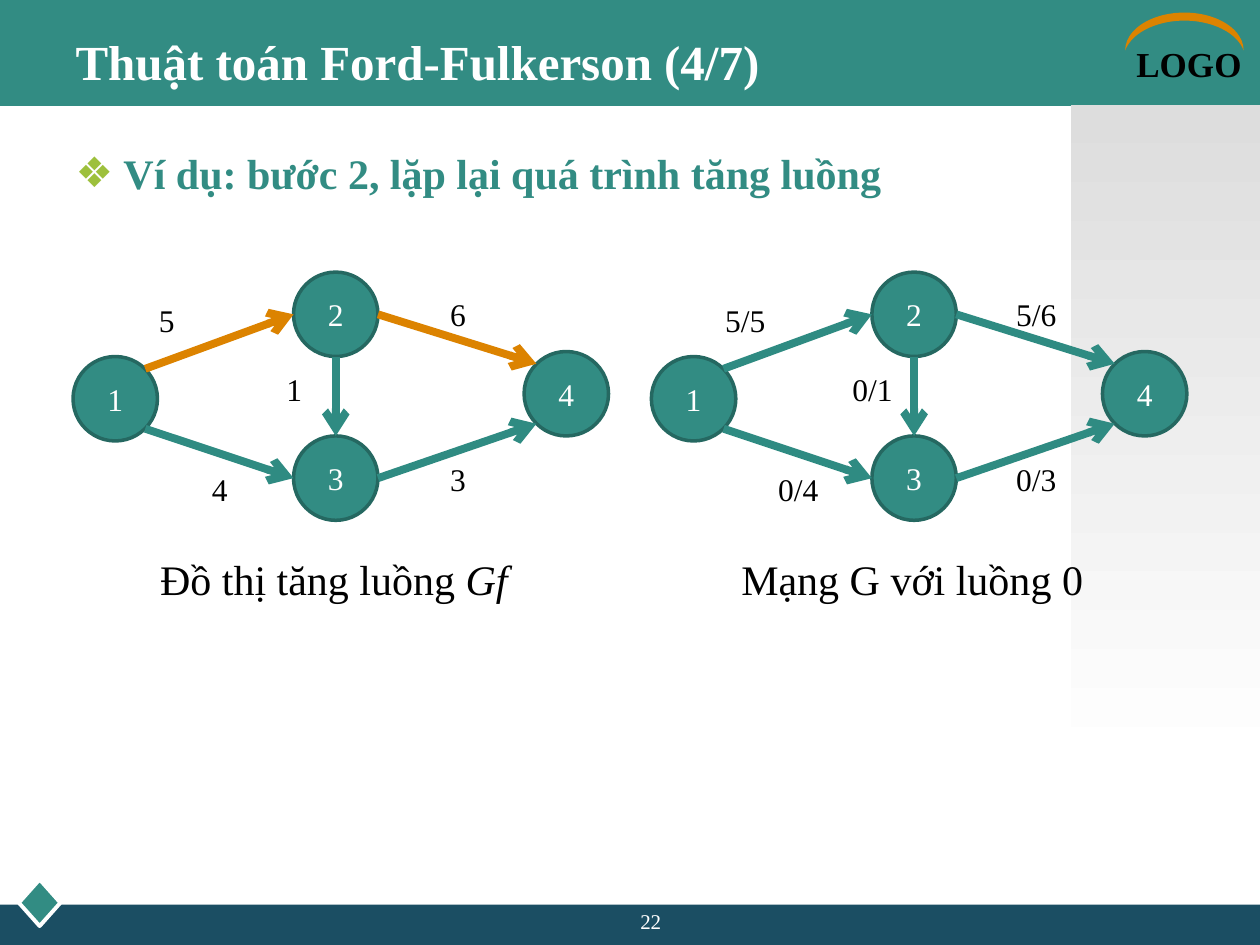
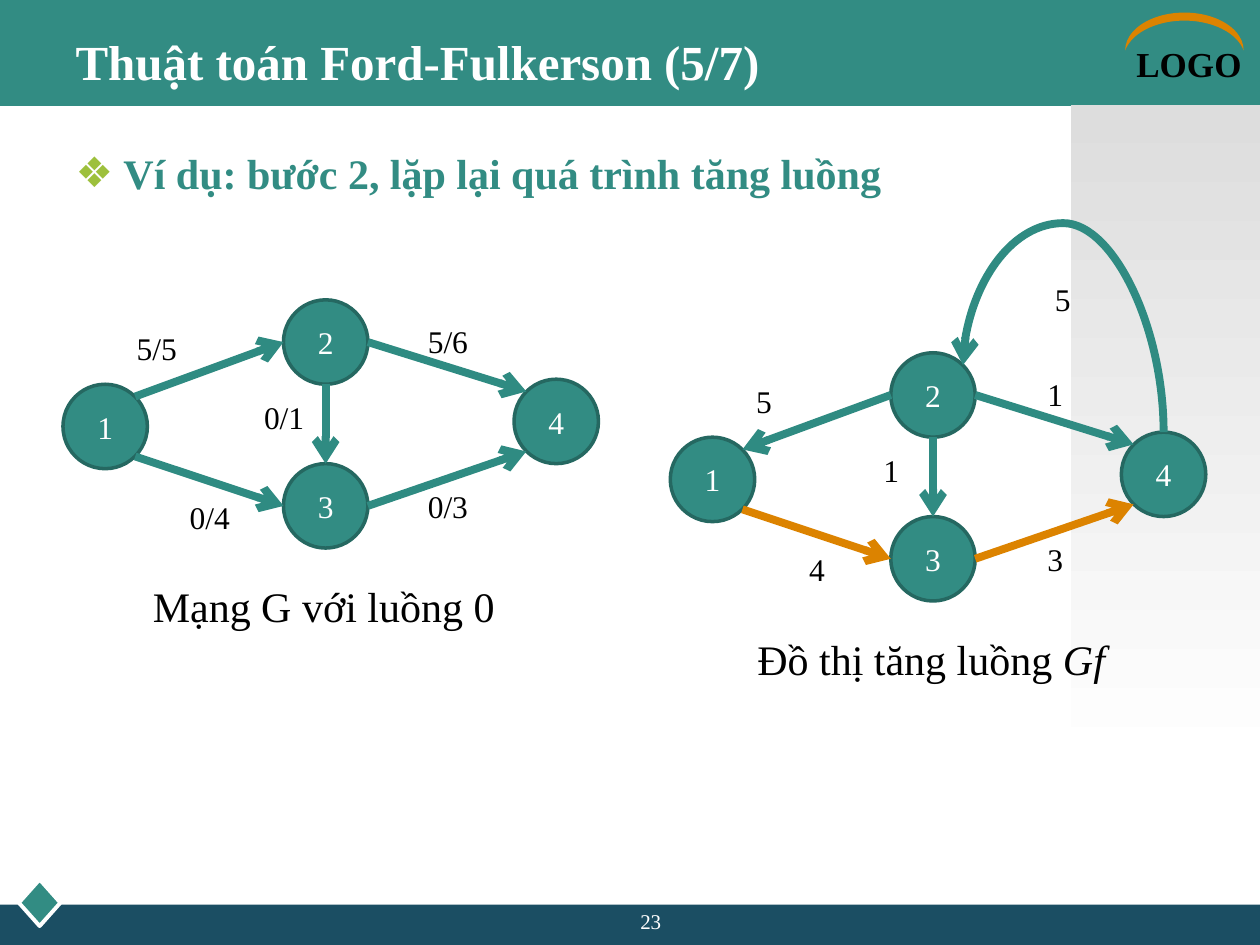
from lxml.etree import SubElement
from pptx import Presentation
from pptx.dml.color import RGBColor
from pptx.enum.shapes import MSO_CONNECTOR as CONN, MSO_SHAPE as SHAPE
from pptx.enum.text import MSO_ANCHOR as ANCHOR, PP_ALIGN as ALIGN
from pptx.oxml.ns import qn
from pptx.util import Inches, Pt

FONT = "Times New Roman"
TEAL = RGBColor(0x32, 0x8C, 0x83)
TEAL_LINE = RGBColor(0x2F, 0x8B, 0x82)
TEAL_DARK = RGBColor(0x25, 0x68, 0x61)
NAVY = RGBColor(0x1B, 0x4E, 0x63)
ORANGE = RGBColor(0xDC, 0x83, 0x00)
GREEN = RGBColor(0x9D, 0xC0, 0x3C)
GREY = RGBColor(0xDD, 0xDD, 0xDD)
WHITE = RGBColor(0xFF, 0xFF, 0xFF)
BLACK = RGBColor(0, 0, 0)

HEADING = "Ví dụ: bước 2, lặp lại quá trình tăng luồng"
RESIDUAL = [("Đồ thị tăng luồng ", False), ("Gf", True)]
NETWORK = [("Mạng G với luồng 0", False)]
FLOW = {"1-2": "5/5", "2-4": "5/6", "3-4": "0/3", "1-3": "0/4", "2-3": "0/1"}

SLIDES = [
    dict(title="Thuật toán Ford-Fulkerson (4/7)", page="22", graphs=[
        dict(at=(0.58, 2.16), caption=RESIDUAL, augmenting=["1-2", "2-4"],
             weights={"1-2": "5", "2-4": "6", "3-4": "3", "1-3": "4", "2-3": "1"}),
        dict(at=(5.17, 2.16), caption=NETWORK, augmenting=[], weights=FLOW)]),
    dict(title="Thuật toán Ford-Fulkerson (5/7)", page="23", graphs=[
        dict(at=(0.5, 2.38), caption=NETWORK, augmenting=[], weights=FLOW),
        dict(at=(5.32, 2.8), caption=RESIDUAL, augmenting=["1-3", "3-4"],
             weights={"2-1": "5", "2-4": "1", "3-4": "3", "1-3": "4", "2-3": "1",
                      "4-2": "5"})]),
]

NODE = 0.67
NODES = {"1": (0, 0.67), "2": (1.75, 0), "3": (1.75, 1.3), "4": (3.58, 0.63)}
SIDES = {"N": (0, -1), "S": (0, 1), "W": (-1, 0), "E": (1, 0),
         "NE": (0.71, -0.71), "SE": (0.71, 0.71),
         "NW": (-0.71, -0.71), "SW": (-0.71, 0.71)}
EDGES = {"1-2": ("NE", "W"), "2-1": ("W", "NE"), "2-4": ("E", "NW"),
         "1-3": ("SE", "W"), "2-3": ("S", "N"), "3-4": ("E", "SW"),
         "4-2": ("N", "NE")}
LABELS = {"1-2": (0.33, 0.18), "2-1": (0.33, 0.18), "2-4": (2.64, 0.13),
          "3-4": (2.64, 1.44), "1-3": (0.75, 1.52), "2-3": (1.34, 0.73),
          "4-2": (2.7, -0.63)}


def write(sp, runs, size=18, color=BLACK, bold=False, align=ALIGN.CENTER, anchor=ANCHOR.TOP):
    tf = sp.text_frame
    tf.word_wrap = True
    tf.vertical_anchor = anchor
    p = tf.paragraphs[0]
    p.alignment = align
    for text, italic in [(runs, False)] if isinstance(runs, str) else runs:
        r = p.add_run()
        r.text = text
        r.font.name, r.font.size, r.font.color.rgb = FONT, Pt(size), color
        r.font.bold, r.font.italic = bold, italic
    return p


def add_text(shapes, box, runs, **fmt):
    sp = shapes.add_textbox(*map(Inches, box))
    write(sp, runs, **fmt)
    return sp


def add_shape(shapes, kind, box, fill, line=None, width=0):
    sp = shapes.add_shape(kind, *map(Inches, box))
    sp.shadow.inherit = False
    sp.fill.solid()
    sp.fill.fore_color.rgb = fill
    if line is None:
        sp.line.fill.background()
    else:
        sp.line.color.rgb, sp.line.width = line, Pt(width)
    return sp


def add_arrow(shapes, kind, start, end, color):
    cx = shapes.add_connector(kind, *map(Inches, (*start, *end)))
    cx.line.color.rgb, cx.line.width = color, Pt(4.5)
    SubElement(cx.line._get_or_add_ln(), qn("a:tailEnd"), type="arrow")
    SubElement(cx.element.spPr, qn("a:effectLst"))
    return cx


def add_loop(shapes, start, end, bulge=3.114):
    """Draw a curve that leaves start upwards and comes down on end."""
    mid_x, mid_y = (start[0] + end[0]) / 2, (start[1] + end[1]) / 2
    half_w, half_h = (start[1] - end[1]) / 2, (start[0] - end[0]) / 2
    cx = add_arrow(shapes, CONN.CURVE, (mid_x - half_w, mid_y + half_h),
                   (mid_x + half_w, mid_y - half_h), TEAL_LINE)
    cx.element.spPr.find(qn("a:xfrm")).set("rot", str(270 * 60000))
    guides = cx.element.spPr.find(qn("a:prstGeom")).get_or_add_avLst()
    SubElement(guides, qn("a:gd"), name="adj1", fmla=f"val {round(bulge * 100000)}")


def add_graph(s, at, caption, augmenting, weights):
    def place(offset):
        return at[0] + offset[0], at[1] + offset[1]

    def port(node, side):
        x, y = place(NODES[node])
        return tuple(c + NODE / 2 * (1 + d) for c, d in zip((x, y), SIDES[side]))

    group = s.shapes.add_group_shape().shapes
    for name, offset in NODES.items():
        sp = add_shape(group, SHAPE.OVAL, (*place(offset), NODE, NODE), TEAL, TEAL_DARK, 2)
        write(sp, name, color=WHITE, anchor=ANCHOR.MIDDLE)
    for edge, weight in weights.items():
        start, end = map(port, edge.split("-"), EDGES[edge])
        if edge == "4-2":
            add_loop(s.shapes, start, end)
        else:
            add_arrow(group, CONN.STRAIGHT, start, end,
                      ORANGE if edge in augmenting else TEAL_LINE)
        add_text(group, (*place(LABELS[edge]), 0.83, 0.4), weight)
    add_text(group, (*place((0.57, 2.18)), 3, 0.5), caption, size=24)


def decorate_master(prs, s):
    shapes = s.shapes
    panel = add_shape(shapes, SHAPE.RECTANGLE, (8.5, 0.83, 1.5, 5.25), GREY)
    panel.fill.gradient()
    panel.fill.gradient_angle = 270
    for stop, color in zip(panel.fill.gradient_stops, (GREY, WHITE)):
        stop.color.rgb = color
    arc = add_shape(shapes, SHAPE.MOON, (9.25, -0.22, 0.3, 0.94), ORANGE)
    arc.rotation, arc.adjustments[0] = 90, 0.212
    parts = [
        add_shape(shapes, SHAPE.RECTANGLE, (0, 0, 10, 0.84), TEAL),
        add_shape(shapes, SHAPE.RECTANGLE, (0, 7.18, 10, 0.32), NAVY),
        add_shape(shapes, SHAPE.DIAMOND, (0.15, 6.98, 0.33, 0.37), TEAL, WHITE, 2.25),
        add_text(shapes, (8.92, 0.29, 1.08, 0.43), "LOGO", size=20, bold=True,
                 align=ALIGN.LEFT),
        arc, panel]
    for number, sp in enumerate(parts, 100):
        sp.element.nvSpPr.cNvPr.set("id", str(number))
        prs.slide_master.shapes.element.append(sp.element)


def fill_placeholder(sp, box, text, **fmt):
    sp.left, sp.top, sp.width, sp.height = map(Inches, box)
    return write(sp, text, bold=True, align=ALIGN.LEFT, **fmt)


def add_heading(sp):
    p = fill_placeholder(sp, (0.5, 0.92, 9, 6), HEADING, size=24, color=TEAL)
    p.line_spacing = 1.5
    pPr = p._p.get_or_add_pPr()
    pPr.set("marL", str(Inches(0.38)))
    pPr.set("indent", str(Inches(-0.38)))
    SubElement(SubElement(pPr, qn("a:buClr")), qn("a:srgbClr"), val=str(GREEN))
    SubElement(pPr, qn("a:buChar"), char="❖")


def main():
    prs = Presentation()
    prs.slide_width, prs.slide_height = Inches(10), Inches(7.5)
    for number, content in enumerate(SLIDES):
        s = prs.slides.add_slide(prs.slide_layouts[1])
        if number == 0:
            decorate_master(prs, s)
        fill_placeholder(s.shapes.title, (0.5, 0.17, 9, 0.62), content["title"],
                         size=28, color=WHITE, anchor=ANCHOR.MIDDLE)
        add_heading(s.placeholders[1])
        add_text(s.shapes, (4, 7.16, 2.33, 0.26), content["page"], size=12, color=WHITE)
        for graph in content["graphs"]:
            add_graph(s, **graph)
    prs.save("out.pptx")


if __name__ == "__main__":
    main()
